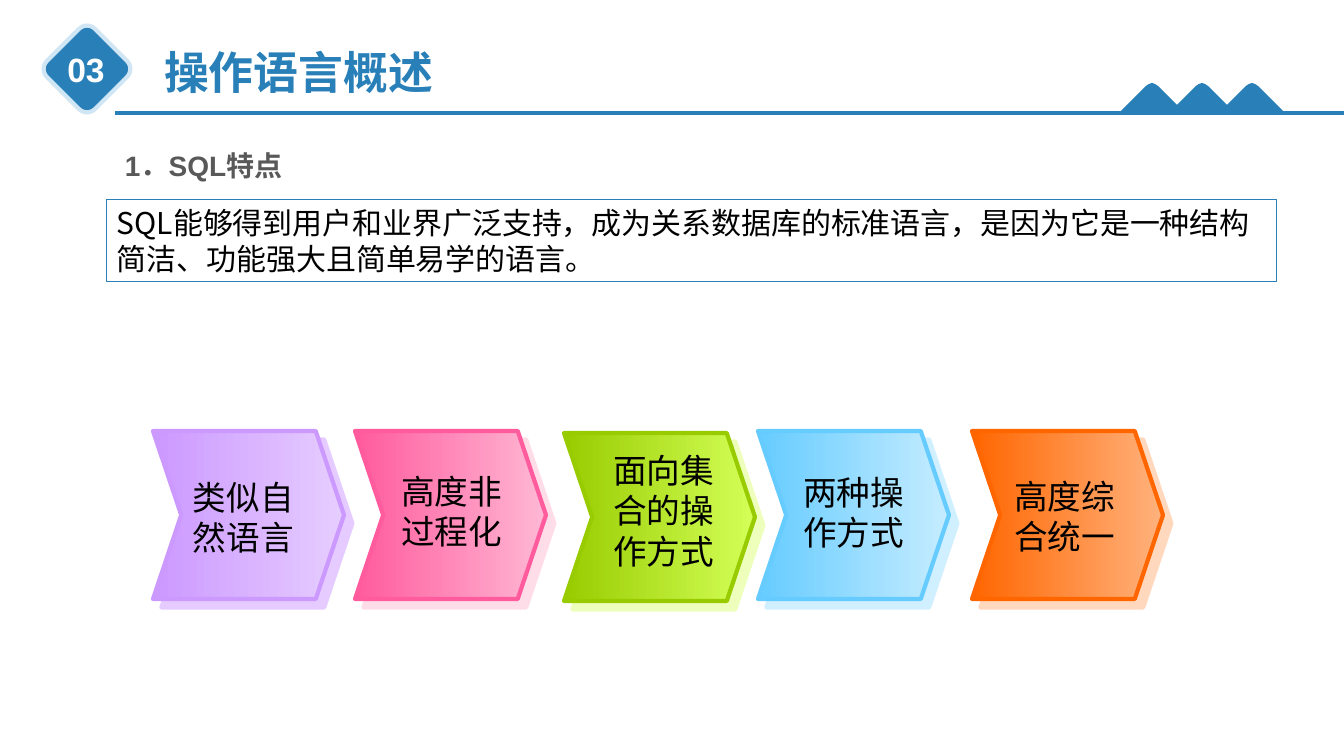
from dataclasses import dataclass

from lxml import etree
from pptx import Presentation
from pptx import util as u
from pptx.dml.color import RGBColor
from pptx.enum import shapes, text
from pptx.oxml import ns

PX = 914400 / 100.8
CJK_FONT = "Noto Sans CJK SC"
COLORS = {
    "blue": "2980B9", "pale_blue": "D1E6F5", "white": "FFFFFF",
    "grey": "595959", "black": "000000",
}


@dataclass(frozen=True)
class Box:
    left: int
    top: int
    width: int
    height: int

    def emu(self) -> tuple[u.Emu, ...]:
        return tuple(map(px, (self.left, self.top, self.width, self.height)))


@dataclass(frozen=True)
class Feature:
    label: str
    left: int
    top: int
    dark: str
    light: str
    shadow: str
    label_box: Box


FEATURES = [
    Feature("类似自然语言", 153, 431, "CC99FF", "E6CDFF", "CC99FF", Box(180, 470, 137, 95)),
    Feature("高度非过程化", 355, 431, "FF5B9D", "FFB7D4", "FFBDD3", Box(388, 464, 138, 95)),
    Feature("面向集合的操作方式", 564, 433, "99CC00", "D3FF57", "DCFF79", Box(600, 443, 148, 135)),
    Feature("两种操作方式", 758, 431, "66CCFF", "C5ECFF", "A3E0FF", Box(790, 465, 148, 95)),
    Feature("高度综合统一", 972, 431, "FF6600", "FFB27D", "FFB27D", Box(1001, 469, 148, 95)),
]
CHEVRON_WIDTH, CHEVRON_HEIGHT = 191, 168

# Right half of a rounded peak, measured from its tip
PEAK_HALF = [(0, 0), (3, 1), (6, 3), (31, 28), (33, 30)]
PEAK_TIPS = [1152 + 50 * i for i in range(3)]
PEAK_TOP = 83


def px(value: float) -> u.Emu:
    return u.Emu(round(value * PX))


def rgb(value: str) -> RGBColor:
    return RGBColor.from_string(COLORS.get(value, value))


def write(shape, words: str, size: float, color: str, *, font: str = "Arial",
          bold: bool = False, wrap: bool = True, align=text.PP_ALIGN.LEFT,
          anchor=text.MSO_ANCHOR.TOP, inset: tuple[int, int] = (10, 5),
          spacing: float | None = None) -> None:
    frame = shape.text_frame
    across, down = map(px, inset)
    frame_format = {
        "word_wrap": wrap, "auto_size": text.MSO_AUTO_SIZE.SHAPE_TO_FIT_TEXT,
        "vertical_anchor": anchor, "margin_left": across, "margin_right": across,
        "margin_top": down, "margin_bottom": down,
    }
    for name, value in frame_format.items():
        setattr(frame, name, value)
    paragraph = frame.paragraphs[0]
    paragraph.alignment = align
    if spacing:
        paragraph.line_spacing = spacing
    run = paragraph.add_run()
    run.text = words
    for name, value in {"name": font, "size": u.Pt(size), "bold": bold}.items():
        setattr(run.font, name, value)
    run.font.color.rgb = rgb(color)
    latin = run._r.rPr.find(ns.qn("a:latin"))
    east_asian = etree.Element(ns.qn("a:ea"), typeface=CJK_FONT)
    latin.addnext(east_asian)


def add_text(slide, box: Box, words: str, size: float, color: str, **options) -> None:
    write(slide.shapes.add_textbox(*box.emu()), words, size, color, **options)


def add_preset(slide, kind, box: Box, line: str, line_width: float):
    shape = slide.shapes.add_shape(kind, *box.emu())
    shape.shadow.inherit = False
    shape.line.color.rgb = rgb(line)
    shape.line.width = u.Pt(line_width)
    return shape


def add_peak(slide, tip: int) -> None:
    outline = [(tip - x, PEAK_TOP + y) for x, y in reversed(PEAK_HALF)]
    outline += [(tip + x, PEAK_TOP + y) for x, y in PEAK_HALF[1:]]
    builder = slide.shapes.build_freeform(*outline[0], scale=PX)
    builder.add_line_segments(outline[1:], close=True)
    peak = builder.convert_to_shape()
    peak.shadow.inherit = False
    peak.fill.solid()
    peak.fill.fore_color.rgb = rgb("blue")
    peak.line.fill.background()


def add_chevron(slide, feature: Feature) -> None:
    box = Box(feature.left, feature.top, CHEVRON_WIDTH, CHEVRON_HEIGHT)
    chevron = add_preset(slide, shapes.MSO_SHAPE.CHEVRON, box, feature.dark, 3)
    chevron.adjustments[0] = 0.168
    chevron.fill.gradient()
    chevron.fill.gradient_angle = 0
    for stop, color, position in zip(chevron.fill.gradient_stops,
                                     (feature.dark, feature.light), (0, 1)):
        stop.color.rgb = rgb(color)
        stop.position = position
    effects = chevron._element.spPr.find(ns.qn("a:effectLst"))
    shadow = etree.SubElement(effects, ns.qn("a:outerShdw"), blurRad="0",
                              dist=str(u.Pt(8.5)), dir="2700000", algn="ctr",
                              rotWithShape="0")
    color = etree.SubElement(shadow, ns.qn("a:srgbClr"), val=feature.shadow)
    etree.SubElement(color, ns.qn("a:alpha"), val="50000")


def main() -> None:
    deck = Presentation()
    deck.slide_width, deck.slide_height = px(1344), px(756)
    slide = deck.slides.add_slide(deck.slide_layouts.get_by_name("Title Only"))

    # Header: number badge, rule, title and peaks
    badge = add_preset(slide, shapes.MSO_SHAPE.ROUNDED_RECTANGLE,
                       Box(53, 35, 68, 68), "pale_blue", 3)
    badge.rotation = 45
    badge.fill.solid()
    badge.fill.fore_color.rgb = rgb("blue")

    rule = slide.shapes.add_connector(shapes.MSO_CONNECTOR.STRAIGHT,
                                      px(115), px(113), px(1344), px(113))
    rule.line.color.rgb = rgb("blue")
    rule.line.width = u.Pt(2.25)
    etree.SubElement(rule._element.spPr, ns.qn("a:effectLst"))

    title = slide.shapes.title
    title.left, title.top, title.width, title.height = Box(154, 40, 291, 65).emu()
    write(title, "操作语言概述", 32, "blue", bold=True, wrap=False)
    add_text(slide, Box(57, 44, 58, 50), "03", 24, "white", bold=True, wrap=False,
             align=text.PP_ALIGN.CENTER)
    for tip in PEAK_TIPS:
        add_peak(slide, tip)

    # Section heading and summary
    add_text(slide, Box(115, 137, 1153, 50), "1．SQL特点", 20, "grey", bold=True,
             spacing=1.2)
    summary = add_preset(slide, shapes.MSO_SHAPE.RECTANGLE,
                         Box(107, 200, 1170, 82), "blue", 0.75)
    summary.fill.background()
    write(summary, "SQL能够得到用户和业界广泛支持，成为关系数据库的标准语言，"
          "是因为它是一种结构简洁、功能强大且简单易学的语言。", 21.4, "black",
          font=CJK_FONT, anchor=text.MSO_ANCHOR.MIDDLE)

    # Five features of the language
    for feature in FEATURES:
        add_chevron(slide, feature)
    for feature in FEATURES:
        add_text(slide, feature.label_box, feature.label, 24, "black", inset=(13, 7))

    deck.save("out.pptx")


if __name__ == "__main__":
    main()
